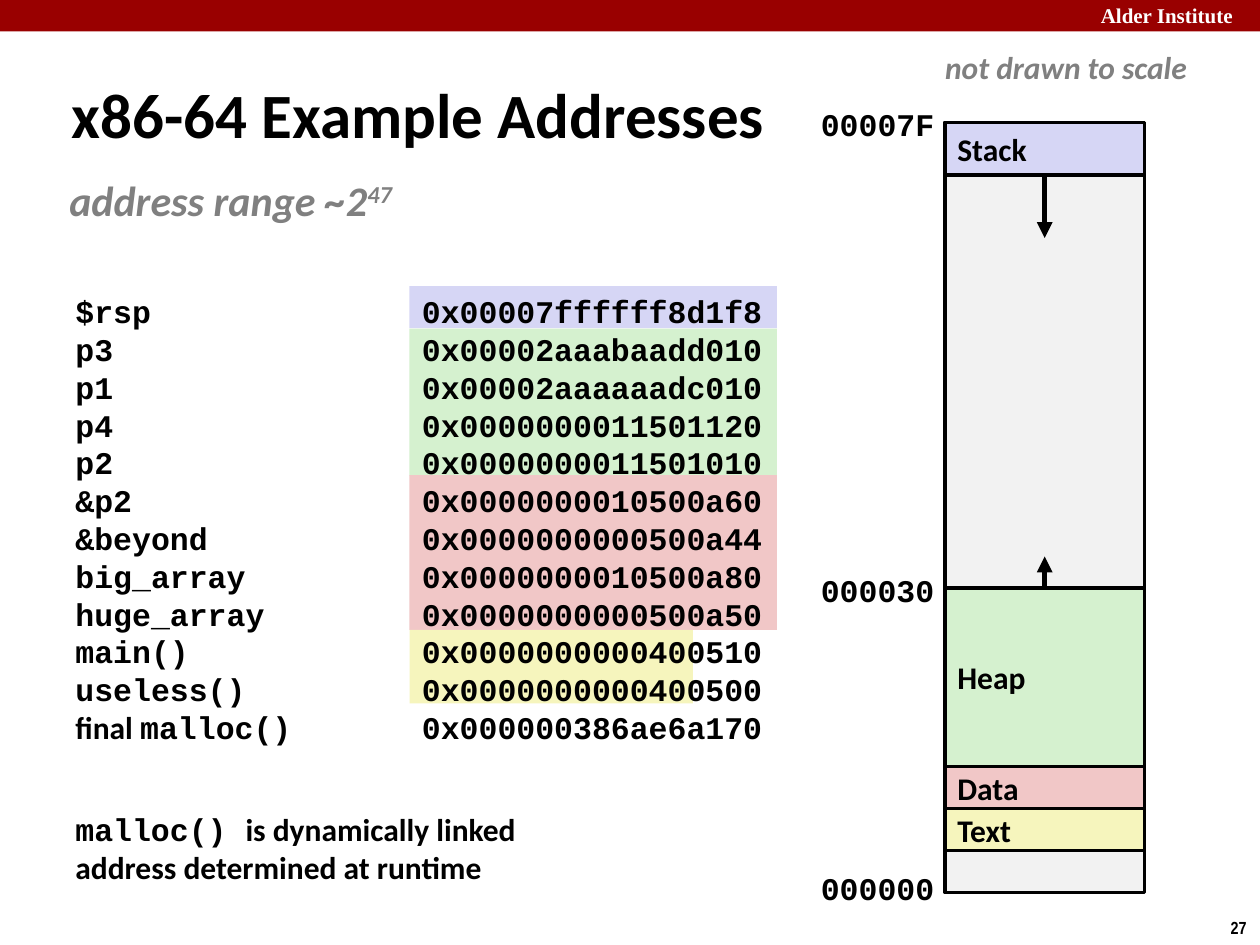
from dataclasses import dataclass

from lxml import etree
from pptx import Presentation
from pptx.dml.color import RGBColor
from pptx.enum.shapes import MSO_CONNECTOR, MSO_SHAPE
from pptx.enum.text import MSO_ANCHOR, PP_ALIGN
from pptx.oxml.ns import qn
from pptx.util import Pt

RECTANGLE = MSO_SHAPE.RECTANGLE
STRAIGHT = MSO_CONNECTOR.STRAIGHT
TOP, MIDDLE = MSO_ANCHOR.TOP, MSO_ANCHOR.MIDDLE
LEFT = PP_ALIGN.LEFT
BLANK_LAYOUT = 6


@dataclass(frozen=True)
class Theme:
    black: str = "000000"
    white: str = "FFFFFF"
    grey: str = "808080"
    banner: str = "990000"
    unused: str = "F2F2F2"
    stack: str = "D6D6F5"
    heap: str = "D5F1CF"
    data: str = "F1C7C7"
    text: str = "F6F5BD"
    sans: str = "Calibri"
    mono: str = "Courier New"
    serif: str = "Times New Roman"
    narrow: str = "Arial Narrow"
    title_size: int = 36
    subtitle_size: int = 24
    body_size: int = 18
    banner_size: int = 12
    number_size: int = 10


class SlideBuilder:
    def __init__(self, slide, theme):
        self.shapes = slide.shapes
        self.theme = theme

    def style(self, **changes):
        base = {"name": self.theme.sans, "size": self.theme.body_size,
                "bold": True, "color": self.theme.black}
        return {**base, **changes}

    def fill_frame(self, frame, paragraphs, anchor=TOP, wrap=False, inset=7.2):
        """Fill a frame with paragraphs, each a list of (words, style) runs."""
        layout = {"vertical_anchor": anchor, "word_wrap": wrap,
                  "margin_left": Pt(inset), "margin_right": Pt(inset),
                  "margin_top": Pt(3.6), "margin_bottom": Pt(3.6)}
        for attribute, value in layout.items():
            setattr(frame, attribute, value)
        for index, runs in enumerate(paragraphs):
            paragraph = frame.add_paragraph() if index else frame.paragraphs[0]
            paragraph.alignment = LEFT
            for words, style in runs:
                self.add_run(paragraph, words, **style)

    def add_run(self, paragraph, words, color, size, baseline=None, **font_values):
        run = paragraph.add_run()
        run.text = words
        font_values["size"] = Pt(size)
        for attribute, value in font_values.items():
            setattr(run.font, attribute, value)
        run.font.color.rgb = RGBColor.from_string(color)
        if baseline:
            run._r.get_or_add_rPr().set("baseline", str(baseline * 1000))

    def text(self, box, paragraphs, **layout):
        frame = self.shapes.add_textbox(*map(Pt, box)).text_frame
        self.fill_frame(frame, paragraphs, **layout)
        return frame

    def label(self, box, words, **changes):
        self.text(box, [[(words, self.style(**changes))]])

    def listing(self, box, rows, tab, pitch):
        """Two-column text with a tab stop and a fixed line pitch."""
        for paragraph in self.text(box, rows, wrap=True).paragraphs:
            paragraph.line_spacing = Pt(pitch)
            properties = paragraph._p.get_or_add_pPr()
            stops = etree.SubElement(properties, qn("a:tabLst"))
            etree.SubElement(stops, qn("a:tab"), pos=str(Pt(tab)), algn="l")

    def block(self, box, fill, outline=None, words=None):
        block = self.shapes.add_shape(RECTANGLE, *map(Pt, box))
        block.shadow.inherit = False
        block.fill.solid()
        block.fill.fore_color.rgb = RGBColor.from_string(fill)
        if outline:
            block.line.color.rgb = RGBColor.from_string(self.theme.black)
            block.line.width = Pt(outline)
        else:
            block.line.fill.background()
        if words:
            self.fill_frame(block.text_frame, [[(words, self.style())]],
                            anchor=MIDDLE, wrap=True)

    def arrow(self, x, start, end):
        arrow = self.shapes.add_connector(STRAIGHT, *map(Pt, (x, start, x, end)))
        arrow.line.color.rgb = RGBColor.from_string(self.theme.black)
        arrow.line.width = Pt(3)
        properties = arrow._element.spPr
        etree.SubElement(properties.find(qn("a:ln")), qn("a:tailEnd"), type="triangle")
        etree.SubElement(properties, qn("a:effectLst"))


def main():
    deck = Presentation()
    deck.slide_width, deck.slide_height = Pt(720), Pt(540)
    theme = Theme()
    page = SlideBuilder(deck.slides.add_slide(deck.slide_layouts[BLANK_LAYOUT]), theme)
    mono = page.style(name=theme.mono)
    sans = page.style()
    muted = {"color": theme.grey, "italic": True}

    page.block((0, 0, 720, 18), theme.banner)
    page.label((622, -2, 103, 21.6), "Alder Institute", name=theme.serif,
               size=theme.banner_size, color=theme.white)
    page.label((696.2, 520.5, 24.5, 19.4), "27", name=theme.narrow,
               size=theme.number_size)

    highlights = [(163.5, 24, 210, theme.stack), (187.8, 84, 210, theme.heap),
                  (271.5, 88.5, 210, theme.data), (360, 42, 162, theme.text)]
    for top, height, width, fill in highlights:
        page.block((234, top, width, height), fill)

    page.text((34, 42, 518, 45),
              [[("x86-64 Example Addresses", page.style(size=theme.title_size))]],
              anchor=MIDDLE, wrap=True)
    subtitle = page.style(size=theme.subtitle_size, **muted)
    page.text((36, 96, 195, 36.5),
              [[("address range ~2", subtitle), ("47", {**subtitle, "baseline": 30})]],
              inset=3.6)

    addresses = {
        "$rsp": "0x00007ffffff8d1f8",
        "p3": "0x00002aaabaadd010",
        "p1": "0x00002aaaaaadc010",
        "p4": "0x0000000011501120",
        "p2": "0x0000000011501010",
        "&p2": "0x0000000010500a60",
        "&beyond": "0x0000000000500a44",
        "big_array": "0x0000000010500a80",
        "huge_array": "0x0000000000500a50",
        "main()": "0x0000000000400510",
        "useless()": "0x0000000000400500",
    }
    rows = [[(f"{symbol}\t{address}", mono)] for symbol, address in addresses.items()]
    rows.append([("final ", sans), ("malloc()\t0x000000386ae6a170", mono)])
    page.listing((36, 163.5, 408, 268.5), rows, tab=198, pitch=21.6)

    memory_left, memory_width, memory_top = 540, 114, 70
    page.block((memory_left, memory_top, memory_width, 440), theme.unused, outline=2)
    segments = [("Stack", memory_top, 30, theme.stack), ("Heap", 336, 102, theme.heap),
                ("Data", 438, 24, theme.data), ("Text", 462, 24, theme.text)]
    for name, top, height, fill in segments:
        page.block((memory_left, top, memory_width, height), fill, outline=2, words=name)
    middle = memory_left + memory_width / 2
    page.arrow(middle, 100, 136)
    page.arrow(middle, 336, 318)

    for address, top in (("00007F", 56.3), ("000030", 322.5), ("000000", 493)):
        page.label((462, top, 80, 29), address, name=theme.mono)
    page.label((533, 24, 153, 29), "not drawn to scale", **muted)
    page.text((36, 459.5, 268, 51),
              [[("malloc() ", mono), ("is dynamically linked", sans)],
               [("address determined at runtime", sans)]])
    deck.save("out.pptx")


if __name__ == "__main__":
    main()
